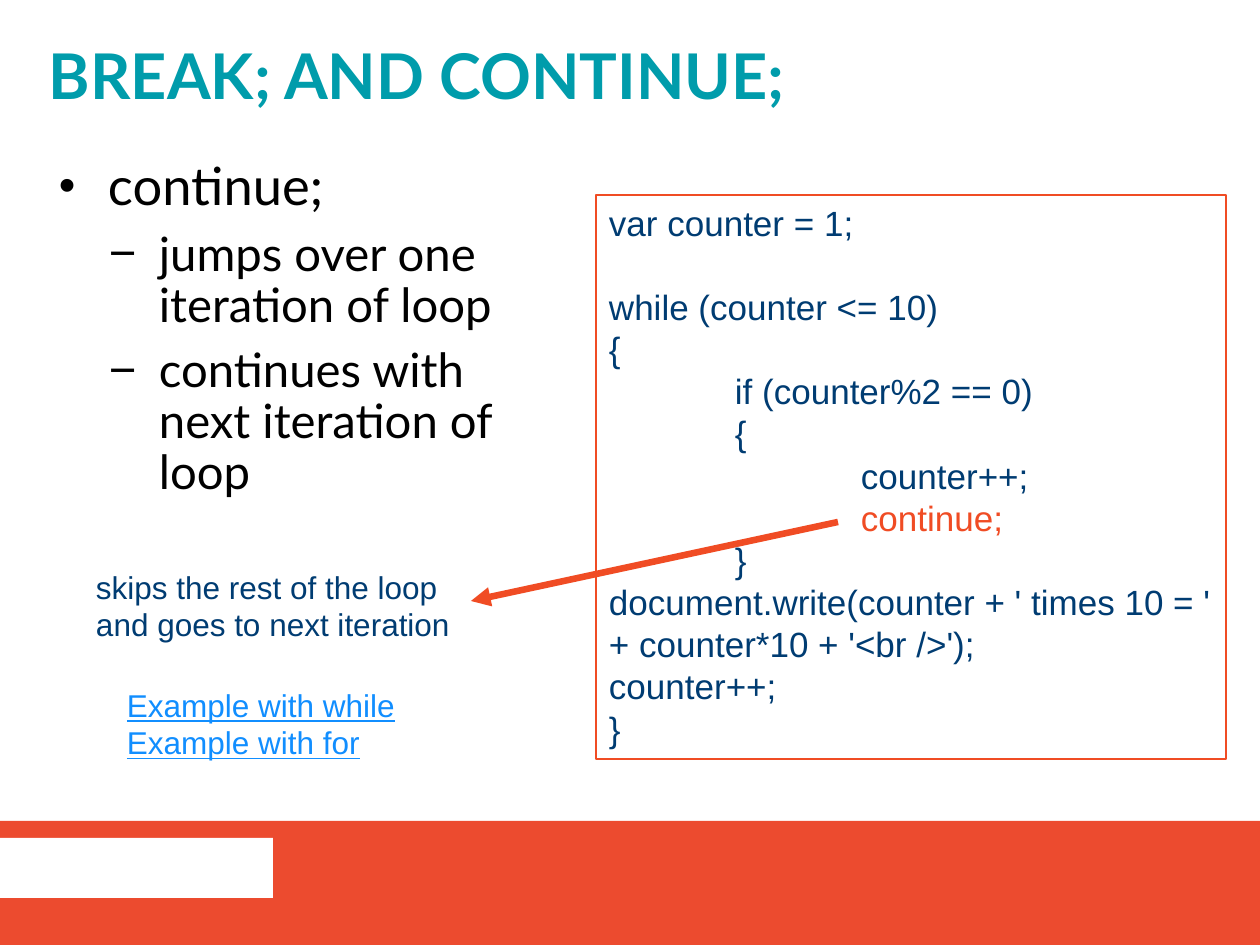
from lxml import etree
from pptx import Presentation
from pptx.dml.color import RGBColor as Rgb
from pptx.enum.shapes import MSO_CONNECTOR as Connector, MSO_SHAPE as Shape
from pptx.enum.text import MSO_ANCHOR as Anchor, PP_ALIGN as Align
from pptx.oxml.ns import qn
from pptx.util import Emu, Pt

EMU_PER_PX = 914400 / 126
COLORS = {
    "black": "000000",
    "white": "FFFFFF",
    "teal": "009CAB",
    "navy": "003C72",
    "orange": "F04C24",
    "footer": "EC4B2F",
    "link": "118EFF",
}
TITLE = {"name": "Lato", "size": Pt(36), "bold": True}
TOPIC = {"name": "Lato", "size": Pt(30)}
DETAIL = {"name": "Lato", "size": Pt(27)}
CODE = {"name": "Arial", "size": Pt(20)}
NOTE = {"name": "Arial", "size": Pt(18)}
LINK = {**NOTE, "underline": True}
CODE_LINE = Pt(24.1)
NOTE_LINE = Pt(21.5)


def px(value):
    return Emu(round(value * EMU_PER_PX))


def color(name):
    return Rgb.from_string(COLORS[name])


def apply(target, values):
    for name, value in values.items():
        setattr(target, name, value)


def add_rectangle(page, box, fill=None, line=None):
    shape = page.shapes.add_shape(Shape.RECTANGLE, *map(px, box))
    shape.shadow.inherit = False
    if fill:
        shape.fill.solid()
        shape.fill.fore_color.rgb = color(fill)
    else:
        shape.fill.background()
    if line:
        shape.line.color.rgb = color(line)
        shape.line.width = Pt(0.75)
    else:
        shape.line.fill.background()
    return shape


def set_frame(shape, margins=(13, 6, 13, 6), anchor=Anchor.TOP, wrap=True):
    frame = shape.text_frame
    sides = ("margin_left", "margin_top", "margin_right", "margin_bottom")
    apply(frame, dict(zip(sides, map(px, margins))))
    apply(frame, {"word_wrap": wrap, "vertical_anchor": anchor})
    return frame


def write(frame, index, text, font, ink, spacing):
    para = frame.add_paragraph() if index else frame.paragraphs[0]
    apply(para, {"alignment": Align.LEFT, "line_spacing": spacing})
    span = para.add_run()
    span.text = text
    apply(span.font, font)
    span.font.color.rgb = color(ink)
    return para


def indent(para, left, first=0):
    para._p.get_or_add_pPr().set("marL", str(px(left)))
    para._p.get_or_add_pPr().set("indent", str(px(first)))


def add_bullet(para, symbol, size):
    properties = para._p.get_or_add_pPr()
    etree.SubElement(properties, qn("a:buSzPct")).set("val", str(size * 1000))
    etree.SubElement(properties, qn("a:buFont")).set("typeface", "Arial")
    etree.SubElement(properties, qn("a:buChar")).set("char", symbol)


def add_footer(page, box):
    left, top, width, height = box
    add_rectangle(page, box, fill="footer")
    add_rectangle(page, (left, top + 17, 273, 60), fill="white")


def add_title(page, box, text):
    shape = page.shapes.add_textbox(*map(px, box))
    frame = set_frame(shape, (49, 25, 49, 20), Anchor.MIDDLE)
    write(frame, 0, text, TITLE, "teal", 0.8)


def add_outline(page, box, topic, details):
    frame = set_frame(page.shapes.add_textbox(*map(px, box)), (59, 35, 59, 0))
    rows = [(topic, TOPIC, 49, "•", 90)]
    rows += [(text, DETAIL, 100, "−", 100) for text in details]
    for index, (text, font, left, symbol, size) in enumerate(rows):
        para = write(frame, index, text, font, "black", 0.9)
        apply(para, {"space_before": Pt(4), "space_after": Pt(4)})
        indent(para, left, -50 if index else -49)
        add_bullet(para, symbol, size)


def add_code(page, box, lines):
    frame = set_frame(add_rectangle(page, box, line="orange"))
    for index, (depth, text) in enumerate(lines):
        ink = "orange" if text == "continue;" else "navy"
        para = write(frame, index, text, CODE, ink, CODE_LINE)
        indent(para, 126 * depth)
    frame.paragraphs[0].space_after = CODE_LINE


def add_note(page, box, lines, font, ink, wrap=True):
    frame = set_frame(page.shapes.add_textbox(*map(px, box)), wrap=wrap)
    for index, text in enumerate(lines):
        write(frame, index, text, font, ink, NOTE_LINE)


def add_arrow(page, start, end):
    points = map(px, (*start, *end))
    arrow = page.shapes.add_connector(Connector.STRAIGHT, *points)
    arrow.line.color.rgb = color("orange")
    arrow.line.width = Pt(3.75)
    line = arrow.line._get_or_add_ln()
    etree.SubElement(line, qn("a:tailEnd")).set("type", "triangle")
    etree.SubElement(arrow._element.spPr, qn("a:effectLst"))


def main():
    deck = Presentation()
    apply(deck, {"slide_width": px(1260), "slide_height": px(945)})
    page = deck.slides.add_slide(deck.slide_layouts[6])
    add_footer(page, (0, 821, 1260, 124))
    add_outline(page, (0, 125, 581, 610), "continue;", [
        "jumps over one iteration of loop",
        "continues with next iteration of loop",
    ])
    add_title(page, (0, 0, 1260, 158), "BREAK; AND CONTINUE;")
    add_code(page, (596, 195, 630, 564), [
        (0, "var counter = 1;"),
        (0, "while (counter <= 10)"),
        (0, "{"),
        (1, "if (counter%2 == 0)"),
        (1, "{"),
        (2, "counter++;"),
        (2, "continue;"),
        (1, "}"),
        (0, "document.write(counter + ' times 10 = ' + counter*10 + '<br />');"),
        (0, "counter++;"),
        (0, "}"),
    ])
    add_arrow(page, (838, 522), (471, 601))
    add_note(page, (83, 562, 421, 89),
             ["skips the rest of the loop and goes to next iteration"], NOTE, "navy")
    add_note(page, (114, 680, 302, 89),
             ["Example with while", "Example with for"], LINK, "link", wrap=False)
    deck.save("out.pptx")


if __name__ == "__main__":
    main()
